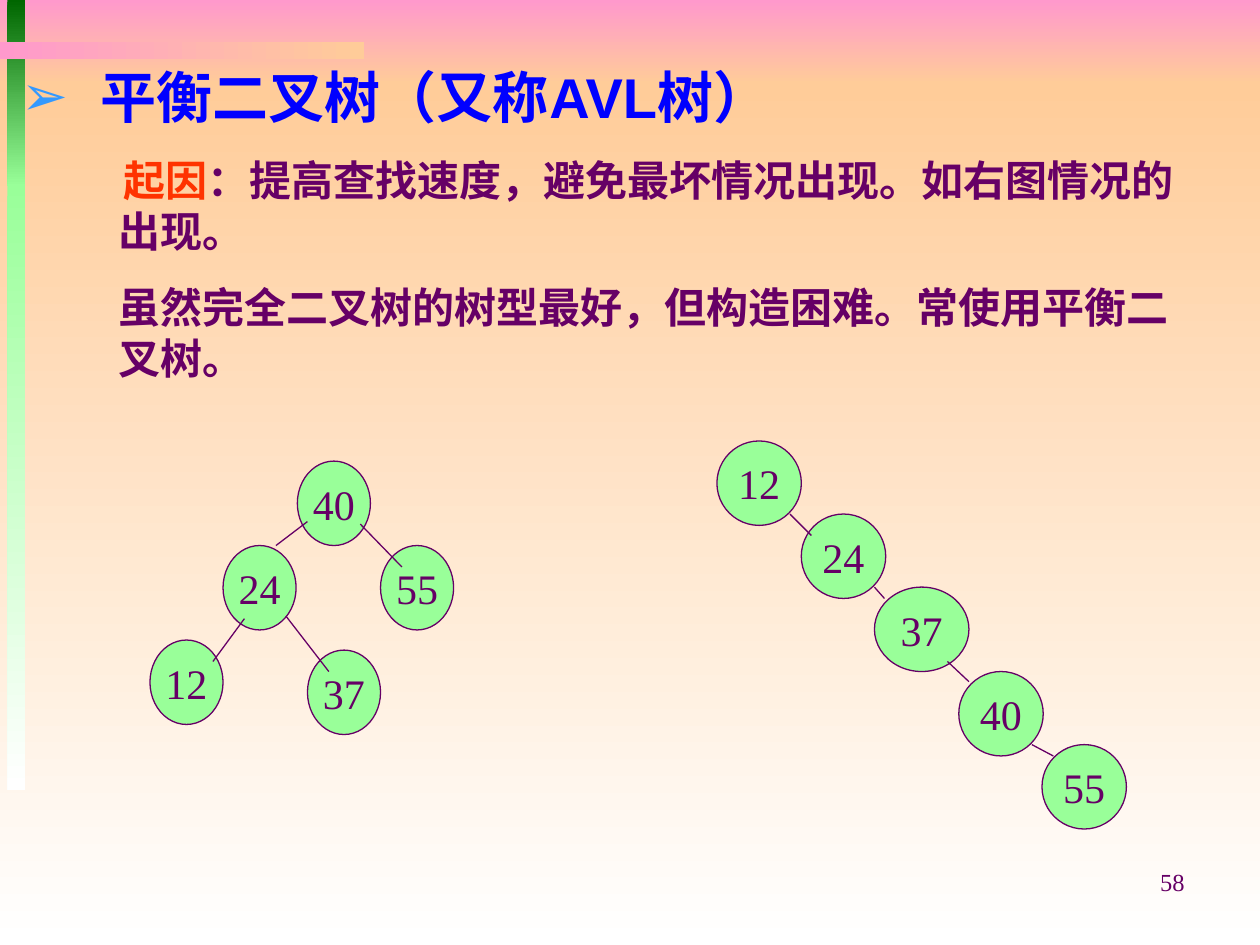
import pptx
import pptx.util
import pptx.dml.color
import pptx.enum.shapes
import pptx.enum.text
import pptx.oxml
import pptx.oxml.ns

Inches, Pt = pptx.util.Inches, pptx.util.Pt
SHAPE = pptx.enum.shapes.MSO_SHAPE
ALIGN = pptx.enum.text.PP_ALIGN
ANCHOR = pptx.enum.text.MSO_ANCHOR
FIT = pptx.enum.text.MSO_AUTO_SIZE

COLORS = {"pink": "FF99CC", "peach": "FFCC99", "white": "FFFFFF",
          "dark": "006600", "green": "99FF99", "plum": "660066",
          "blue": "0000FF", "sky": "3399FF", "red": "FF3300"}
HEAD = {"name": "Arial", "size": Pt(32), "bold": True}
BODY = {"name": "Arial", "size": Pt(24), "bold": True}
NODE = {"name": "Times New Roman", "size": Pt(24)}
PAGE = {"name": "Times New Roman", "size": Pt(14)}

# Left, top, width, height, first colour, last colour, angle
BANDS = [(0, 0, 10, 0.67, "pink", "peach", 270),
         (0, 0.67, 10, 6.83, "peach", "white", 270),
         (0.06, 0, 0.14, 1.48, "dark", "green", 270),
         (0.06, 1.46, 0.14, 4.81, "green", "white", 270),
         (0, 0.33, 2.89, 0.14, "pink", "peach", 0)]

# Nodes: key, left, top, width; edges: from x, y, to x, y
TREE = [("40", 2.36, 3.66, 0.58), ("24", 1.77, 4.33, 0.58),
        ("55", 3.02, 4.33, 0.58), ("12", 1.19, 5.08, 0.58),
        ("37", 2.44, 5.16, 0.58)]
TREE_EDGES = [(2.44, 4.14, 2.19, 4.33), (1.94, 4.91, 1.69, 5.25),
              (2.27, 4.89, 2.61, 5.33), (2.86, 4.16, 3.19, 4.5)]
CHAIN = [("12", 5.69, 3.5, 0.67), ("24", 6.36, 4.08, 0.67),
         ("37", 6.94, 4.66, 0.75), ("40", 7.61, 5.33, 0.67),
         ("55", 8.27, 5.91, 0.67)]
CHAIN_EDGES = [(6.27, 4.08, 6.44, 4.25), (6.94, 4.66, 7.02, 4.75),
               (7.52, 5.25, 7.69, 5.41), (8.19, 5.91, 8.36, 6)]


def rgb(color):
    return pptx.dml.color.RGBColor.from_string(COLORS[color])


def style(obj, values):
    for name, value in values.items():
        setattr(obj, name, value)


def add_run(para, text, font, color):
    run = para.add_run()
    run.text = text
    style(run.font, font)
    run.font.color.rgb = rgb(color)


def indent(para, left, first):
    props = para._p.get_or_add_pPr()
    props.set("marL", str(Inches(left)))
    props.set("indent", str(Inches(first)))
    return props


def add_band(slide, left, top, width, height, first, last, angle):
    band = slide.shapes.add_shape(SHAPE.RECTANGLE, Inches(left), Inches(top),
                                  Inches(width), Inches(height))
    band.shadow.inherit = False
    band.line.fill.background()
    band.fill.gradient()
    band.fill.gradient_angle = angle
    for stop, color in zip(band.fill.gradient_stops, (first, last)):
        stop.color.rgb = rgb(color)


def add_title(slide):
    title = slide.shapes.title
    title.element.getparent().append(title.element)  # above the bands
    style(title, {"left": Inches(-0.25), "top": Inches(0.44),
                  "width": Inches(7.27), "height": Inches(0.64)})
    style(title.text_frame, {"word_wrap": True, "auto_size": FIT.NONE,
                             "vertical_anchor": ANCHOR.MIDDLE})
    para = title.text_frame.paragraphs[0]
    props = indent(para, 0.95, -0.63)
    for tag, name, value in (("buFont", "typeface", "Arial"),
                             ("buChar", "char", "➢")):
        item = pptx.oxml.parse_xml(
            f'<a:{tag} {pptx.oxml.ns.nsdecls("a")} {name}="{value}"/>')
        props.append(item)
    props.insert(0, pptx.oxml.parse_xml(
        f'<a:buClr {pptx.oxml.ns.nsdecls("a")}>'
        f'<a:srgbClr val="{COLORS["sky"]}"/></a:buClr>'))
    para.alignment = ALIGN.LEFT
    add_run(para, "平衡二叉树（又称AVL树）", HEAD, "blue")


def add_box(slide, left, top, width, height):
    box = slide.shapes.add_textbox(Inches(left), Inches(top),
                                   Inches(width), Inches(height))
    box.text_frame.word_wrap = True
    return box.text_frame


def add_body(slide):
    frame = add_box(slide, 0.34, 1.18, 9.26, 1.91)
    cause = frame.paragraphs[0]
    indent(cause, 0.5, 0.04)
    add_run(cause, "起因", BODY, "red")
    add_run(cause, "：提高查找速度，避免最坏情况出现。如右图情况的出现。",
            BODY, "plum")
    choice = frame.add_paragraph()
    indent(choice, 0.5, 0)
    choice.space_before = Pt(15)
    add_run(choice, "虽然完全二叉树的树型最好，但构造困难。常使用平衡二叉树。",
            BODY, "plum")


def add_node(slide, key, left, top, width):
    node = slide.shapes.add_shape(SHAPE.OVAL, Inches(left), Inches(top),
                                  Inches(width), Inches(0.67))
    node.shadow.inherit = False
    node.fill.solid()
    node.fill.fore_color.rgb = rgb("green")
    node.line.color.rgb = rgb("plum")
    node.line.width = Pt(0.75)
    style(node.text_frame, {"word_wrap": False,
                            "vertical_anchor": ANCHOR.MIDDLE})
    para = node.text_frame.paragraphs[0]
    para.alignment = ALIGN.CENTER
    add_run(para, key, NODE, "plum")


def add_edge(slide, *ends):
    edge = slide.shapes.add_connector(
        pptx.enum.shapes.MSO_CONNECTOR.STRAIGHT, *map(Inches, ends))
    edge.line.color.rgb = rgb("plum")
    edge.line.width = Pt(0.75)
    edge.element.spPr.append(pptx.oxml.parse_xml(
        f'<a:effectLst {pptx.oxml.ns.nsdecls("a")}/>'))


def add_graph(slide, nodes, edges):
    for node in nodes:
        add_node(slide, *node)
    for edge in edges:
        add_edge(slide, *edge)


def add_page(slide):
    para = add_box(slide, 7.17, 6.83, 2.33, 0.52).paragraphs[0]
    para.alignment = ALIGN.RIGHT
    add_run(para, "58", PAGE, "plum")


def main():
    deck = pptx.Presentation()
    style(deck, {"slide_width": Inches(10), "slide_height": Inches(7.5)})
    slide = deck.slides.add_slide(deck.slide_layouts[5])
    # Backdrop and side bars
    for band in BANDS:
        add_band(slide, *band)
    # Text
    add_title(slide)
    add_body(slide)
    # Balanced tree on the left, worst case on the right
    add_graph(slide, TREE, TREE_EDGES)
    add_graph(slide, CHAIN, CHAIN_EDGES)
    add_page(slide)
    deck.save("out.pptx")


if __name__ == "__main__":
    main()
